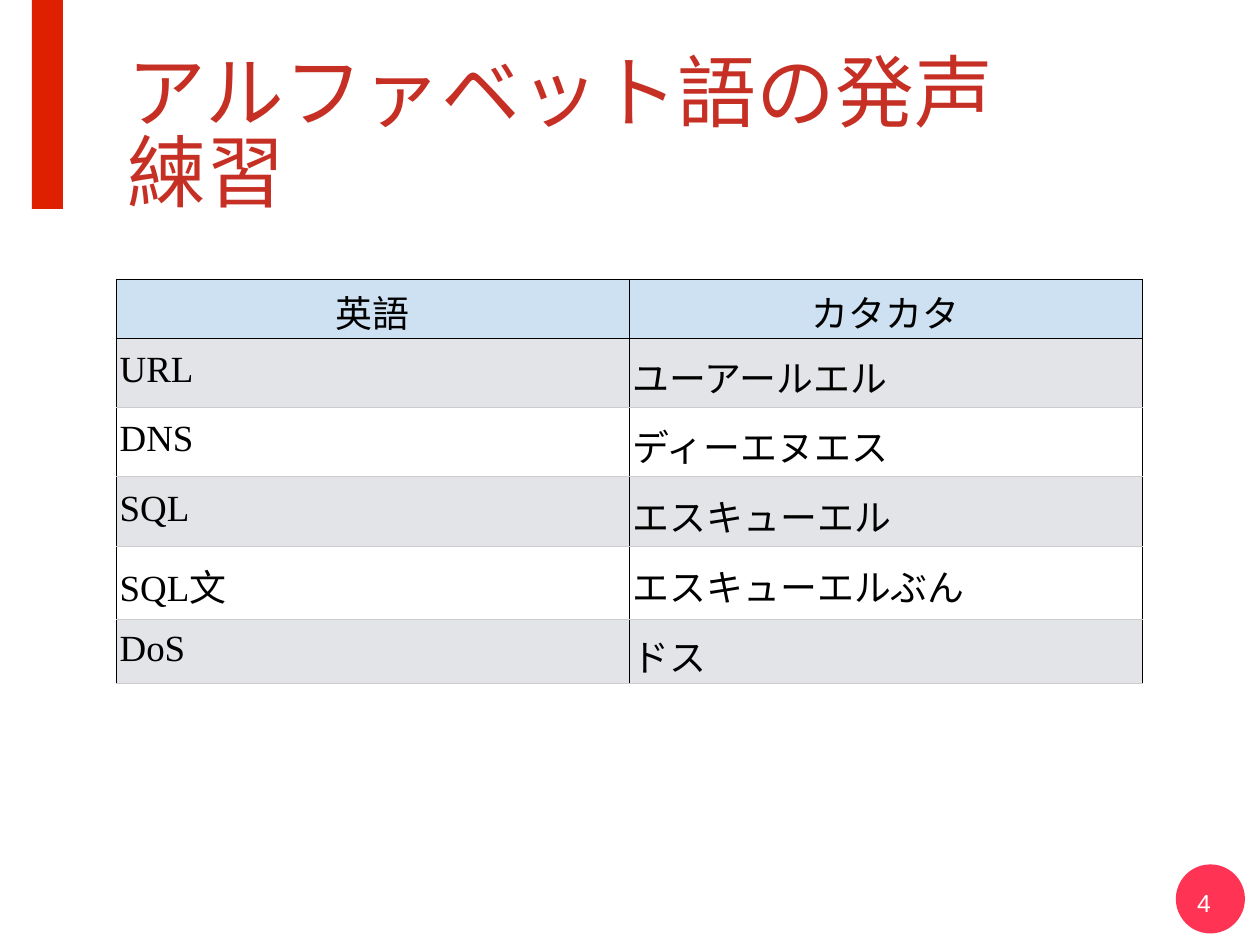
"""Builds a slide with a table of alphabet words and their katakana readings."""
from lxml import etree
from pptx import Presentation
from pptx import util as u
from pptx.dml.color import RGBColor
from pptx.enum import shapes, text
from pptx.oxml.ns import qn

PX = 9144
COLORS = {
    "title": "C63024", "bar": "DE1F00", "badge": "FF3455", "header": "CEE1F3",
    "band": "E3E4E7", "rule": "CCCCCC", "black": "000000", "white": "FFFFFF",
}
CJK, LATIN, SANS = "Noto Sans CJK JP", "Times New Roman", "Arial"
HEADER = ("英語", "カタカタ")
WORDS = [
    ([("URL", LATIN)], "ユーアールエル"),
    ([("DNS", LATIN)], "ディーエヌエス"),
    ([("SQL", LATIN)], "エスキューエル"),
    ([("SQL", LATIN), ("文", CJK)], "エスキューエルぶん"),
    ([("DoS", LATIN)], "ドス"),
]
ROW_HEIGHTS = [66, 78, 78, 79, 82, 73]
ROW_INSETS = [6, 12, 12, 13, 14, 10]


def px(n):
    return u.Emu(n * PX)


def box(*lengths):
    return [px(n) for n in lengths]


def rgb(name):
    return RGBColor.from_string(COLORS[name])


def add_run(p, content, font, size, color):
    r = p.add_run()
    r.text = content
    r.font.name, r.font.size = font, u.Pt(size)
    r.font.color.rgb = rgb(color)
    if font == CJK:
        etree.SubElement(r.font._element, qn("a:ea"), typeface=font)


def set_frame(tf, top=0):
    tf.margin_left = tf.margin_right = tf.margin_bottom = 0
    tf.margin_top = px(top)
    tf.word_wrap = True
    tf.auto_size = text.MSO_AUTO_SIZE.NONE
    tf.vertical_anchor = text.MSO_ANCHOR.TOP
    return tf.paragraphs[0]


def set_indent(p, n):
    p._p.get_or_add_pPr().set("marL", str(px(n)))


def add_block(s, kind, color, *at):
    sp = s.shapes.add_shape(kind, *box(*at))
    sp.shadow.inherit = False
    sp.fill.solid()
    sp.fill.fore_color.rgb = rgb(color)
    sp.line.fill.background()


def set_title(s, content, *at):
    sp = s.shapes.title
    sp.left, sp.top, sp.width, sp.height = box(*at)
    p = set_frame(sp.text_frame, 6)
    p.alignment = text.PP_ALIGN.LEFT
    p.line_spacing = 0.84
    set_indent(p, 1)
    add_run(p, content, CJK, 64, "title")


def add_page_number(s, content, *at):
    sp = s.shapes.add_textbox(*box(*at))
    p = set_frame(sp.text_frame)
    set_indent(p, 4)
    add_run(p, content, SANS, 20, "white")


def add_border(cell, side, color, width):
    ln = etree.SubElement(cell._tc.get_or_add_tcPr(), qn(f"a:ln{side}"),
                          w=str(u.Pt(width)))
    fill = etree.SubElement(ln, qn("a:solidFill"))
    etree.SubElement(fill, qn("a:srgbClr"), val=COLORS[color])


def format_cell(cell, row, col):
    cell.margin_left = cell.margin_right = cell.margin_bottom = 0
    cell.margin_top = px(ROW_INSETS[row])
    header_rule = 1.5 if col else 0.75
    add_border(cell, "L", "black", 0.75)
    add_border(cell, "R", "black", 1 if col else 0.75)
    if row == 0:
        add_border(cell, "T", "black", 1)
        add_border(cell, "B", "black", header_rule)
    else:
        if row == 1:
            add_border(cell, "T", "black", header_rule)
        else:
            add_border(cell, "T", "rule", 1)
        add_border(cell, "B", "rule", 1)
    if row == 0 or row % 2:
        cell.fill.solid()
        cell.fill.fore_color.rgb = rgb("band" if row else "header")
    else:
        cell.fill.background()


def add_word_table(s, *at):
    rows = [[[(h, CJK)] for h in HEADER]]
    rows += [[word, [(reading, CJK)]] for word, reading in WORDS]
    tbl = s.shapes.add_table(len(rows), len(HEADER), *box(*at)).table
    tbl.first_row = tbl.horz_banding = False
    for i, cells in enumerate(rows):
        tbl.rows[i].height = px(ROW_HEIGHTS[i])
        for j, runs in enumerate(cells):
            cell = tbl.cell(i, j)
            format_cell(cell, i, j)
            p = cell.text_frame.paragraphs[0]
            if i == 0:
                p.alignment = text.PP_ALIGN.CENTER
            else:
                set_indent(p, 4)
            for content, font in runs:
                add_run(p, content, font, 30, "black")


def main():
    prs = Presentation()
    prs.slide_width, prs.slide_height = box(1422, 1067)
    s = prs.slides.add_slide(prs.slide_layouts[5])
    add_block(s, shapes.MSO_SHAPE.OVAL, "badge", 1327, 976, 78, 78)
    add_block(s, shapes.MSO_SHAPE.RECTANGLE, "bar", 36, 0, 35, 236)
    add_word_table(s, 131, 316, 1158, sum(ROW_HEIGHTS))
    add_page_number(s, "4", 1347, 1002, 39, 34)
    set_title(s, "アルファベット語の発声練習", 143, 60, 1050, 109)
    prs.save("out.pptx")


if __name__ == "__main__":
    main()
